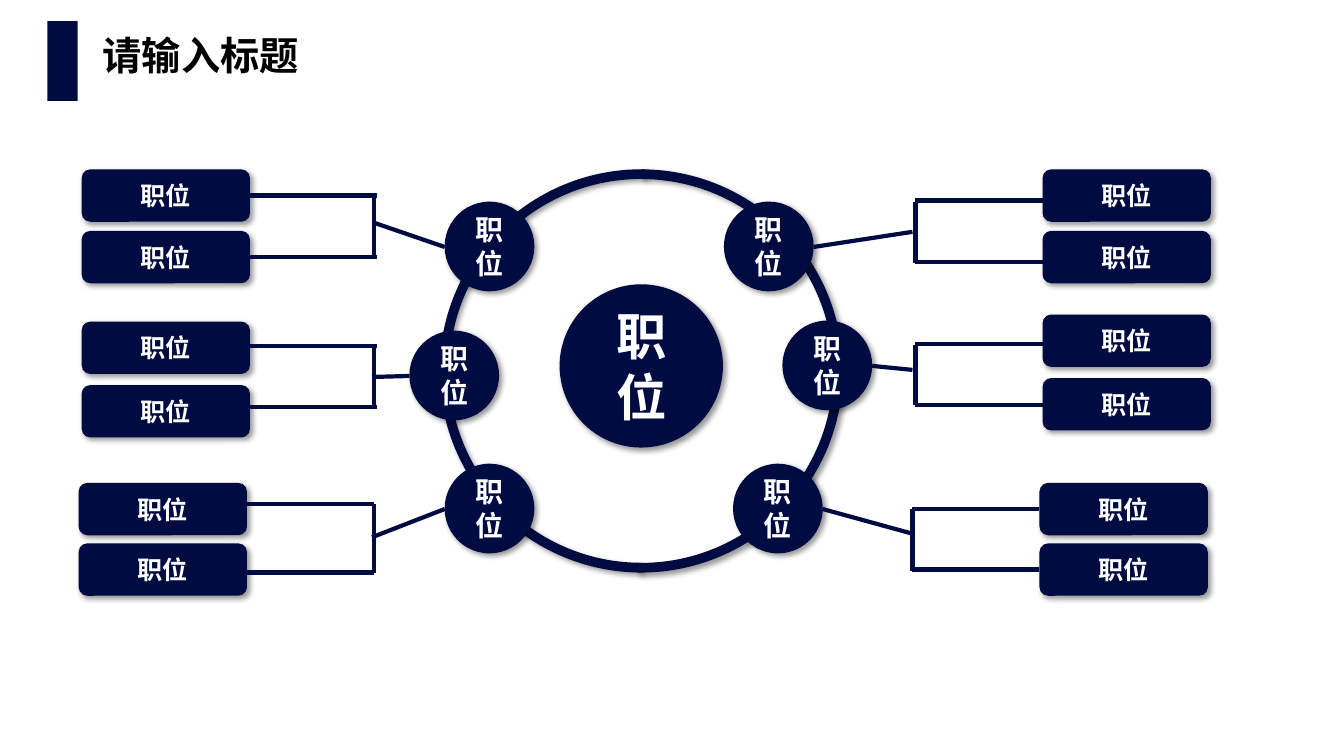
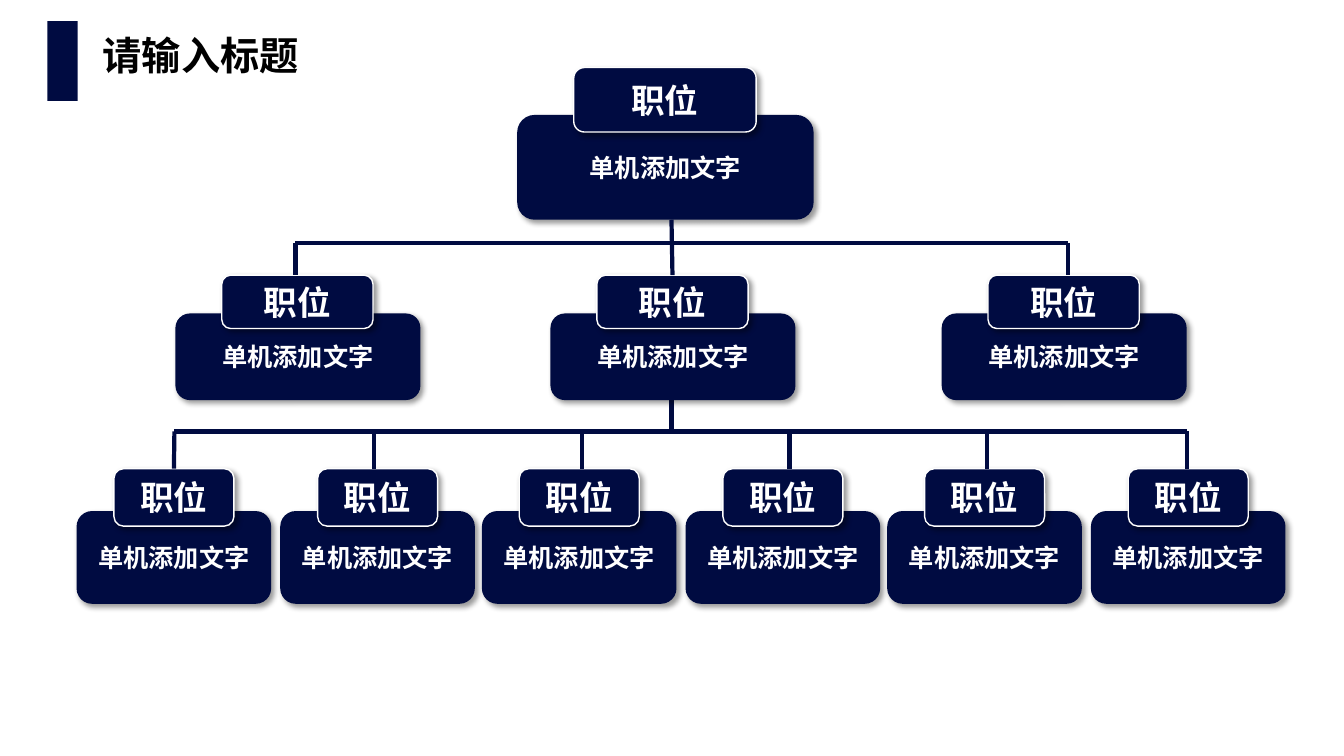
from lxml import etree
from pptx import Presentation
from pptx import util as u
from pptx.dml import color
from pptx.enum import shapes, text
from pptx.oxml.ns import qn

PX = 9144  # EMU per px, 100 px to the inch
FONT = "Noto Sans CJK SC"
NAVY, WHITE, BLACK = "000B41", "FFFFFF", "000000"
ROLE, DETAIL = "职位", "单机添加文字"
KIND = shapes.MSO_SHAPE
rgb = color.RGBColor.from_string


def add_block(parent, kind, frame, content="", size=18, border=None, shadow=True):
    """Add a navy shape with optional centred text, white border and soft shadow."""
    shape = parent.add_shape(kind, *(v * PX for v in frame))
    shape.fill.solid()
    shape.fill.fore_color.rgb = rgb(NAVY)
    if border:
        shape.line.color.rgb = rgb(border)
        shape.line.width = u.Pt(1)
    else:
        shape.line.fill.background()
    shape.shadow.inherit = False
    if shadow:
        effects = shape.element.spPr.find(qn("a:effectLst"))
        outer = etree.SubElement(effects, qn("a:outerShdw"), blurRad="50800",
                                 dist="38100", dir="2700000", algn="tl", rotWithShape="0")
        tint = etree.SubElement(outer, qn("a:srgbClr"), val=BLACK)
        etree.SubElement(tint, qn("a:alpha"), val="40000")
    if content:
        shape.text_frame.text = content
        shape.text_frame.vertical_anchor = text.MSO_ANCHOR.MIDDLE
        para = shape.text_frame.paragraphs[0]
        para.alignment = text.PP_ALIGN.CENTER
        para.font.size = u.Pt(size)
        para.font.bold = True
        para.font.name = FONT
        para.font.color.rgb = rgb(WHITE)
    return shape


def add_line(page, x1, y1, x2, y2):
    """Add a plain navy connector."""
    line = page.shapes.add_connector(shapes.MSO_CONNECTOR.STRAIGHT,
                                     x1 * PX, y1 * PX, x2 * PX, y2 * PX)
    line.line.color.rgb = rgb(NAVY)
    line.line.width = u.Pt(3)
    etree.SubElement(line.element.spPr, qn("a:effectLst"))
    return line


deck = Presentation()
deck.slide_width, deck.slide_height = 1333 * PX, 750 * PX

# Shared layout: title place and side band
layout = deck.slide_layouts.get_by_name("Title Only")
heading = layout.placeholders[0]
heading.left, heading.top, heading.width, heading.height = (
    v * PX for v in (92, 31, 843, 60))
pages = [deck.slides.add_slide(layout) for _ in range(2)]
band = add_block(pages[0].shapes, KIND.RECTANGLE, (47, 21, 30, 79), shadow=False)
band.element.nvSpPr.cNvPr.set("id", "99")
heading.element.addprevious(band.element)

# Titles
for page in pages:
    frame = page.shapes.title.text_frame
    frame.text = "请输入标题"
    frame.auto_size = text.MSO_AUTO_SIZE.NONE
    frame.vertical_anchor = text.MSO_ANCHOR.TOP
    para = frame.paragraphs[0]
    para.alignment = text.PP_ALIGN.LEFT
    para.line_spacing = 0.9
    para.font.size = u.Pt(28)
    para.font.bold = True
    para.font.name = FONT
    para.font.color.rgb = rgb(BLACK)

# Slide 1: hub and ring
wheel, tree = pages
add_block(wheel.shapes, KIND.OVAL, (555, 282, 162, 162), ROLE, 36)
for turn in (0, 180):
    arc = add_block(wheel.shapes, KIND.BLOCK_ARC, (436, 168, 400, 400))
    for index, value in enumerate((54, 162.71, 2.4 / 100)):
        arc.adjustments[index] = value
    arc.rotation = turn

# Slide 1: branches, each a circle with two boxes on a bracket
NODE, BOX_W, BOX_H = 89, 167, 52
# circle corner, box left, box tops, bar heights, bar end, stem (x, top, bottom), link end
branches = [
    ((441, 200), 81, (168, 229), (194, 255), 374, (371, 194, 255), (371, 221)),
    ((406, 328), 81, (319, 382), (343, 404), 374, (371, 341, 402), (369, 374)),
    ((441, 460), 78, (479, 539), (500, 568), 371, (371, 500, 568), (369, 533)),
    ((718, 200), 1034, (168, 229), (199, 260), 908, (908, 200, 261), (905, 230)),
    ((776, 318), 1034, (312, 375), (341, 402), 908, (908, 342, 402), (905, 367)),
    ((727, 460), 1031, (479, 539), (505, 565), 905, (905, 505, 566), (907, 530)),
]
for (node_x, node_y), box_x, tops, bars, bar_end, stem, link_end in branches:
    on_left = box_x < node_x
    add_block(wheel.shapes, KIND.OVAL, (node_x, node_y, NODE, NODE), ROLE, 20)
    for top, bar_y in zip(tops, bars):
        box = add_block(wheel.shapes, KIND.ROUNDED_RECTANGLE,
                        (box_x, top, BOX_W, BOX_H), ROLE)
        box_edge = box_x + BOX_W if on_left else box_x
        bar = add_line(wheel, box_edge, bar_y, bar_end, bar_y)
        if bar_y == top + BOX_H // 2:
            bar.begin_connect(box, 3 if on_left else 1)
    stem_x, stem_top, stem_bottom = stem
    add_line(wheel, stem_x, stem_top, stem_x, stem_bottom)
    node_edge = node_x if on_left else node_x + NODE
    add_line(wheel, node_edge, node_y + 45, *link_end)

# Slide 2: trunk below the middle card, behind the cards
TRUNK_X = 666
add_line(tree, TRUNK_X, 373, TRUNK_X, 428)

# Slide 2: cards by level, each a panel with a tab centred on its upper edge
# panel lefts, panel (top, width, height), tab (top, width, height), rail height, drops
levels = [
    ([513], (114, 294, 104), (67, 181, 64), None, []),
    ([174, 546, 934], (311, 243, 86), (273, 150, 53), 241, [293, TRUNK_X, 1059]),
    ([76, 278, 478, 680, 880, 1082], (507, 193, 92), (465, 119, 57), 428,
     [173, 371, 577, 783, 979, 1177]),
]
for lefts, (top, width, height), (tab_top, tab_w, tab_h), rail_y, drops in levels:
    tabs = []
    for left in lefts:
        card = tree.shapes.add_group_shape()
        add_block(card.shapes, KIND.ROUNDED_RECTANGLE, (left, top, width, height), DETAIL)
        tab_x = left + (width - tab_w) // 2
        tabs.append(add_block(card.shapes, KIND.ROUNDED_RECTANGLE,
                              (tab_x, tab_top, tab_w, tab_h), ROLE, 24, WHITE))
    if drops:
        add_line(tree, drops[-1], rail_y, drops[0], rail_y)
    for drop_x, tab in zip(drops, tabs):
        # The trunk from the top card runs straight through the upper rail
        start_y = 218 if drop_x == TRUNK_X else rail_y
        drop = add_line(tree, drop_x, start_y, drop_x, tab_top)
        if abs(tab.left + tab.width // 2 - drop_x * PX) <= PX:
            drop.end_connect(tab, 0)

# Chinese glyphs take the East Asian typeface
for page in pages:
    for latin in list(page.element.iter(qn("a:latin"))):
        latin.addnext(etree.Element(qn("a:ea"), typeface=FONT))

deck.save("out.pptx")
